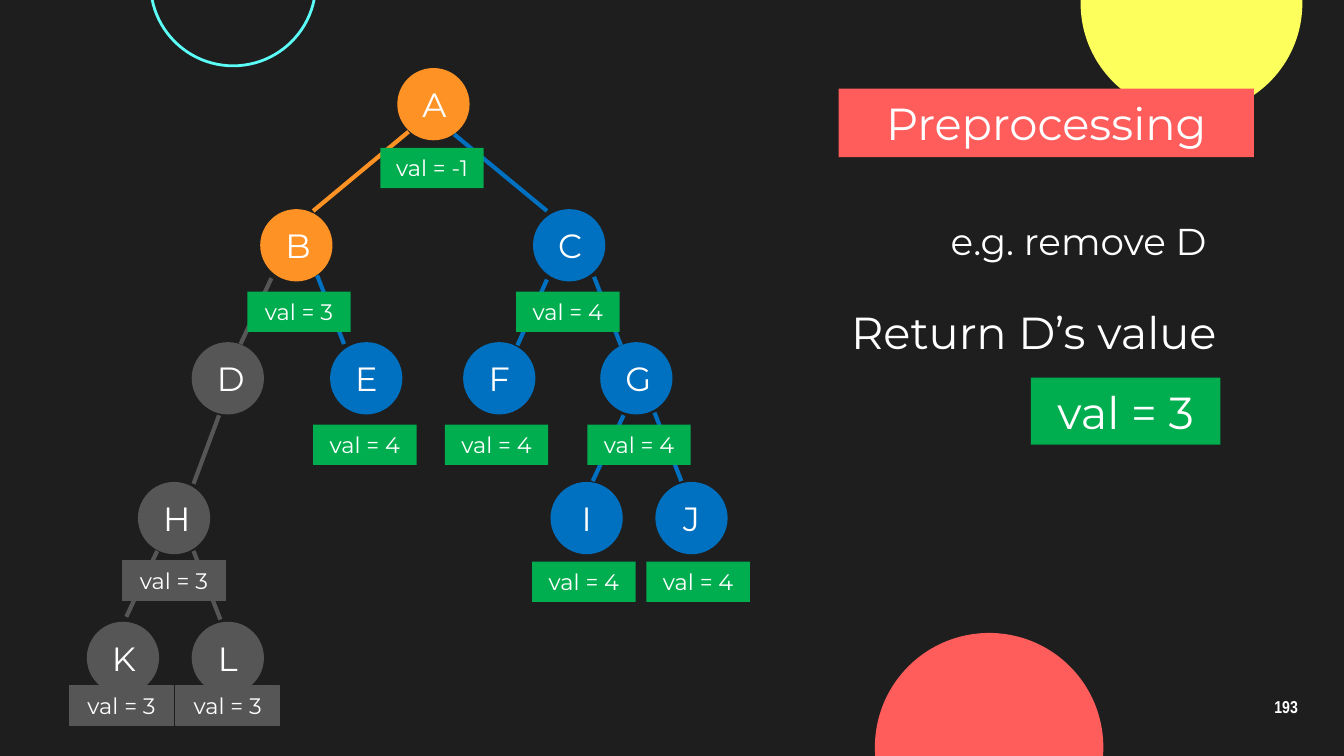
import pptx
import pptx.util
import pptx.oxml.ns
import lxml.etree
from pptx.dml.color import RGBColor
from pptx.enum.shapes import MSO_CONNECTOR, MSO_SHAPE
from pptx.enum.text import MSO_ANCHOR, MSO_AUTO_SIZE, PP_ALIGN
from pptx.util import Inches

BACKGROUND = RGBColor(0x1E, 0x1E, 0x1E)
WHITE = RGBColor(0xFF, 0xFF, 0xFF)
YELLOW = RGBColor(0xFD, 0xFF, 0x5C)
CYAN = RGBColor(0x5C, 0xFF, 0xF8)
RED = RGBColor(0xFF, 0x5C, 0x5C)
ORANGE = RGBColor(0xFF, 0x92, 0x25)
BLUE = RGBColor(0x00, 0x70, 0xC0)
GREY = RGBColor(0x56, 0x56, 0x56)
GREEN = RGBColor(0x00, 0xAE, 0x4F)
FONT = "Montserrat"

presentation = pptx.Presentation()
presentation.slide_width = Inches(10)
presentation.slide_height = Inches(10) * 9 // 16
slide = presentation.slides.add_slide(presentation.slide_layouts[5])
slide.background.fill.solid()
slide.background.fill.fore_color.rgb = BACKGROUND


def add_filled_shape(kind, left, top, width, height, fill, line=None, line_width=0.75):
    """Add a shape without shadow; None for fill or line leaves it out."""
    shape = slide.shapes.add_shape(
        kind, Inches(left), Inches(top), Inches(width), Inches(height))
    shape.shadow.inherit = False
    if fill is None:
        shape.fill.background()
    else:
        shape.fill.solid()
        shape.fill.fore_color.rgb = fill
    if line is None:
        shape.line.fill.background()
    else:
        shape.line.color.rgb = line
        shape.line.width = pptx.util.Pt(line_width)
    return shape


def write_text(shape, text, size, alignment=PP_ALIGN.CENTER, font=FONT, bold=False):
    shape.text_frame.text = text
    paragraph = shape.text_frame.paragraphs[0]
    paragraph.alignment = alignment
    paragraph.font.name = font
    paragraph.font.size = pptx.util.Pt(size)
    paragraph.font.bold = bold
    paragraph.font.color.rgb = WHITE
    return paragraph


# Decorative circles
for left, top, diameter, fill, line in [
    (8.04, -0.8, 1.65, YELLOW, None),
    (1.12, -0.74, 1.23, None, CYAN),
    (6.51, 4.71, 1.7, RED, None),
]:
    add_filled_shape(MSO_SHAPE.OVAL, left, top, diameter, diameter, fill, line, 1.5)

# Title, raised above the circles
title = slide.shapes.title
title.left, title.top = Inches(6.24), Inches(0.66)
title.width, title.height = Inches(3.09), Inches(0.51)
title.fill.solid()
title.fill.fore_color.rgb = RED
title.text_frame.auto_size = MSO_AUTO_SIZE.NONE
title.text_frame.vertical_anchor = MSO_ANCHOR.MIDDLE
write_text(title, "Preprocessing", 24)
title.element.getparent().append(title.element)

# Tree nodes, level by level
LEVELS = [
    (0.52, [("A", 2.97, ORANGE)]),
    (1.57, [("B", 1.95, ORANGE), ("C", 3.98, BLUE)]),
    (2.56, [("D", 1.44, GREY), ("E", 2.47, BLUE), ("F", 3.46, BLUE), ("G", 4.48, BLUE)]),
    (3.6, [("H", 1.04, GREY), ("I", 4.11, BLUE), ("J", 4.89, BLUE)]),
    (4.64, [("K", 0.66, GREY), ("L", 1.44, GREY)]),
]
for top, nodes in LEVELS:
    for name, left, color in nodes:
        node = add_filled_shape(MSO_SHAPE.OVAL, left, top, 0.51, 0.51, color, color, 2)
        node.text_frame.vertical_anchor = MSO_ANCHOR.MIDDLE
        write_text(node, name, 18)

# Edges, from child to parent
EDGES = [
    (4.07, 1.57, 3.38, 1, BLUE),
    (4.62, 2.57, 4.42, 2.06, BLUE),
    (3.85, 2.57, 4.07, 2.08, BLUE),
    (2.33, 1.57, 3.04, 0.98, ORANGE),
    (2.56, 2.56, 2.36, 2.05, BLUE),
    (1.79, 2.56, 2.02, 2.07, GREY),
    (1.44, 3.6, 1.63, 3.09, GREY),
    (1.64, 4.61, 1.44, 4.1, GREY),
    (0.94, 4.59, 1.17, 4.1, GREY),
    (5.07, 3.58, 4.87, 3.07, BLUE),
    (4.41, 3.58, 4.64, 3.09, BLUE),
]
for child_x, child_y, parent_x, parent_y, color in EDGES:
    edge = slide.shapes.add_connector(
        MSO_CONNECTOR.STRAIGHT, Inches(child_x), Inches(child_y),
        Inches(parent_x), Inches(parent_y))
    edge.line.color.rgb = color
    edge.line.width = pptx.util.Pt(2.25)
    lxml.etree.SubElement(edge.element.spPr, pptx.oxml.ns.qn("a:effectLst"))

# Value labels: left, top, value, fill, line
VALUES = [
    (2.33, 3.16, 4, GREEN, None),
    (3.31, 3.16, 4, GREEN, None),
    (4.37, 3.16, 4, GREEN, None),
    (0.91, 4.17, 3, GREY, GREY),
    (3.96, 4.18, 4, GREEN, None),
    (4.81, 4.18, 4, GREEN, None),
    (0.52, 5.1, 3, GREY, GREY),
    (1.31, 5.1, 3, GREY, GREY),
    (1.84, 2.17, 3, GREEN, None),
    (3.84, 2.17, 4, GREEN, None),
    (2.83, 1.1, -1, GREEN, None),
]
labels = [(left, top, 0.77, 0.3, value, fill, line, 12)
          for left, top, value, fill, line in VALUES]
labels.append((7.67, 2.81, 1.41, 0.5, 3, GREEN, None, 24))
for left, top, width, height, value, fill, line, size in labels:
    label = add_filled_shape(MSO_SHAPE.RECTANGLE, left, top, width, height, fill, line)
    label.text_frame.vertical_anchor = MSO_ANCHOR.TOP
    label.text_frame.auto_size = MSO_AUTO_SIZE.SHAPE_TO_FIT_TEXT
    write_text(label, f"val = {value}", size)

# Explanations and slide number
for top, text, size in [(1.52, "e.g. remove D ", 20), (2.17, "Return D’s value", 24)]:
    explanation = slide.shapes.add_textbox(
        Inches(5.89), Inches(top), Inches(3.26), Inches(0.51))
    frame = explanation.text_frame
    frame.word_wrap = True
    frame.margin_top = frame.margin_bottom = Inches(0.1)
    write_text(explanation, text, size, PP_ALIGN.RIGHT)

slide_number = slide.shapes.add_textbox(
    Inches(9.27), Inches(5.1), Inches(0.6), Inches(0.34))
frame = slide_number.text_frame
frame.word_wrap = True
frame.margin_top = frame.margin_bottom = Inches(0.1)
frame.vertical_anchor = MSO_ANCHOR.MIDDLE
paragraph = write_text(slide_number, "193", 9.2, font="Arial Narrow", bold=True)
paragraph.line_spacing = 0.9

presentation.save("out.pptx")
